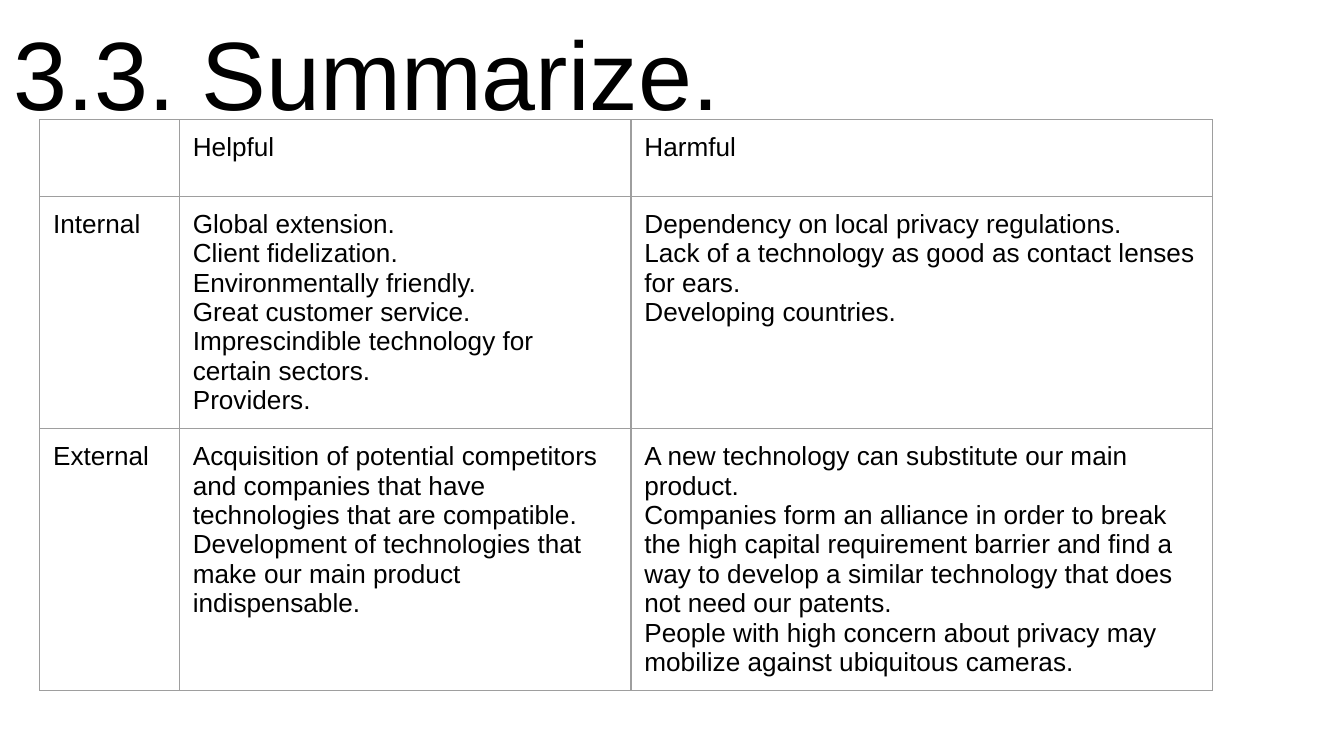
import dataclasses

import lxml.etree
import pptx
import pptx.dml.color
import pptx.enum.text
import pptx.oxml.ns
import pptx.util

BLACK = pptx.dml.color.RGBColor(0x00, 0x00, 0x00)
WHITE = pptx.dml.color.RGBColor(0xFF, 0xFF, 0xFF)
GREY = pptx.dml.color.RGBColor(0x9E, 0x9E, 0x9E)
FONT = "Arial"
INCH = pptx.util.Inches
PAD = INCH(0.1)
WIDE = 10
HIGH = WIDE * 9 / 16
LEFT, TOP = 0.295, 0.89
COLS = (1.04, 3.36, 4.33)


@dataclasses.dataclass
class Row:
    height: float
    label: str
    helpful: list[str]
    harmful: list[str]


ROWS = [
    Row(0.57, "", ["Helpful"], ["Harmful"]),
    Row(
        1.52,
        "Internal",
        [
            "Global extension.",
            "Client fidelization.",
            "Environmentally friendly.",
            "Great customer service.",
            "Imprescindible technology for certain sectors.",
            "Providers.",
        ],
        [
            "Dependency on local privacy regulations.",
            "Lack of a technology as good as contact lenses for ears.",
            "Developing countries.",
        ],
    ),
    Row(
        1.94,
        "External",
        [
            "Acquisition of potential competitors and companies that have "
            "technologies that are compatible.",
            "Development of technologies that make our main product "
            "indispensable.",
        ],
        [
            "A new technology can substitute our main product.",
            "Companies form an alliance in order to break the high capital "
            "requirement barrier and find a way to develop a similar "
            "technology that does not need our patents.",
            "People with high concern about privacy may mobilize against "
            "ubiquitous cameras.",
        ],
    ),
]


def style(frame, size: float) -> None:
    """Set font, size, colour and left alignment on all paragraphs."""
    for para in frame.paragraphs:
        para.alignment = pptx.enum.text.PP_ALIGN.LEFT
        for run in para.runs:
            run.font.name = FONT
            run.font.size = pptx.util.Pt(size)
            run.font.color.rgb = BLACK


def border(cell) -> None:
    qn = pptx.oxml.ns.qn
    props = cell._tc.get_or_add_tcPr()
    for place, side in enumerate(("a:lnL", "a:lnR", "a:lnT", "a:lnB")):
        line = lxml.etree.Element(qn(side), w=str(pptx.util.Pt(0.75)))
        fill = lxml.etree.SubElement(line, qn("a:solidFill"))
        lxml.etree.SubElement(fill, qn("a:srgbClr"), val=str(GREY))
        props.insert(place, line)


def pad(box) -> None:
    box.margin_left = box.margin_right = PAD
    box.margin_top = box.margin_bottom = PAD


def fill_cell(cell, lines: list[str]) -> None:
    pad(cell)
    cell.fill.background()
    cell.text_frame.text = "\n".join(lines)
    style(cell.text_frame, 14)
    border(cell)


def add_title(slide, text: str) -> None:
    title = slide.shapes.title
    title.left, title.top = INCH(0), INCH(0)
    title.width, title.height = INCH(9.32), INCH(0.63)
    title.fill.solid()
    title.fill.fore_color.rgb = WHITE
    frame = title.text_frame
    frame.text = text
    frame.word_wrap = True
    frame.auto_size = pptx.enum.text.MSO_AUTO_SIZE.NONE
    frame.vertical_anchor = pptx.enum.text.MSO_ANCHOR.TOP
    pad(frame)
    style(frame, 52)


def add_grid(slide, rows: list[Row]) -> None:
    high = sum(row.height for row in rows)
    table = slide.shapes.add_table(
        len(rows), len(COLS), INCH(LEFT), INCH(TOP), INCH(sum(COLS)), INCH(high)
    ).table
    table.first_row = table.horz_banding = False
    for col, width in zip(table.columns, COLS):
        col.width = INCH(width)
    for line, row in zip(table.rows, rows):
        line.height = INCH(row.height)
        for cell, text in zip(line.cells, ([row.label], row.helpful, row.harmful)):
            fill_cell(cell, text)


def main() -> None:
    deck = pptx.Presentation()
    deck.slide_width, deck.slide_height = INCH(WIDE), INCH(HIGH)
    slide = deck.slides.add_slide(deck.slide_layouts.get_by_name("Title Only"))
    add_title(slide, "3.3. Summarize.")
    add_grid(slide, ROWS)
    deck.save("out.pptx")


if __name__ == "__main__":
    main()
